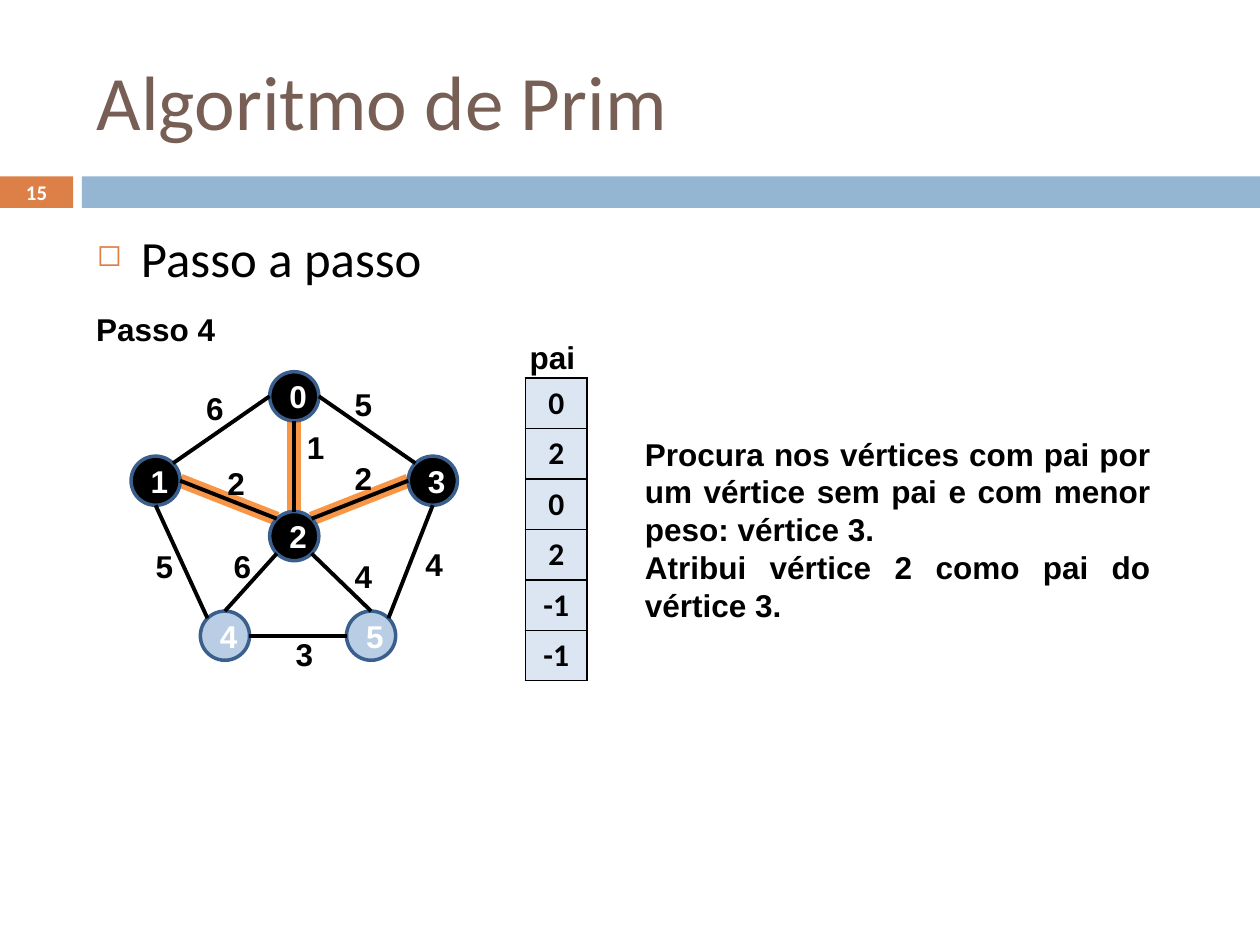
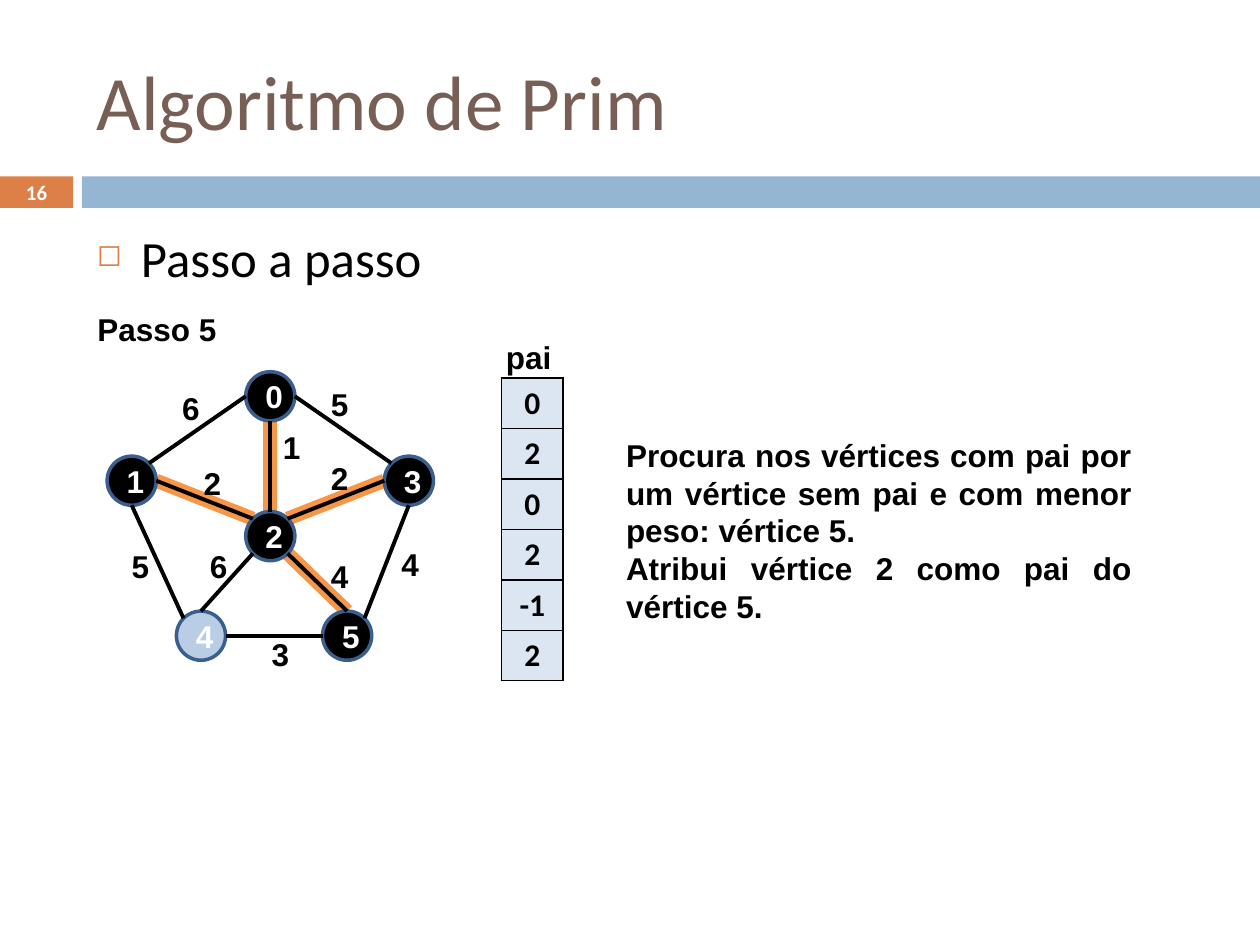
from lxml import etree
from pptx import Presentation
from pptx.dml.color import RGBColor
from pptx.enum.shapes import MSO_CONNECTOR, MSO_SHAPE
from pptx.enum.text import MSO_ANCHOR, PP_ALIGN
from pptx.oxml import parse_xml
from pptx.oxml.ns import nsdecls, qn
from pptx.util import Inches, Pt

LEFT, CENTER, JUSTIFY = PP_ALIGN.LEFT, PP_ALIGN.CENTER, PP_ALIGN.JUSTIFY
TOP, MIDDLE = MSO_ANCHOR.TOP, MSO_ANCHOR.MIDDLE
OVAL, RECTANGLE = MSO_SHAPE.OVAL, MSO_SHAPE.RECTANGLE
STRAIGHT = MSO_CONNECTOR.STRAIGHT

# Shared look
BLACK, WHITE = "000000", "FFFFFF"
ORANGE, BLUE, BROWN = "DD8047", "94B6D2", "775F55"
HIGHLIGHT, OUTLINE = "F79646", "3A5F8C"
UNVISITED, CELL_FILL = "B9CDE5", "DCE6F2"
TITLE, TOPIC = "Algoritmo de Prim", "Passo a passo"

# Content of each step; shift moves the graph and the table sideways
STEPS = [
    {"page": "15", "name": "Passo 4", "name_left": 0.53, "shift": 0,
     "parents": ["0", "2", "0", "2", "-1", "-1"],
     "unvisited": "45", "tree": ["32", "02", "12"],
     "note_at": (5.02, 3.4),
     "note": ["Procura nos vértices com pai por um vértice sem pai e com menor peso: vértice 3.",
              "Atribui vértice 2 como pai do vértice 3."]},
    {"page": "16", "name": "Passo 5", "name_left": 0.54, "shift": -0.19,
     "parents": ["0", "2", "0", "2", "-1", "2"],
     "unvisited": "4", "tree": ["25", "32", "12", "02"],
     "note_at": (4.87, 3.41),
     "note": ["Procura nos vértices com pai por um vértice sem pai e com menor peso: vértice 5.",
              "Atribui vértice 2 como pai do vértice 5."]},
]

# Graph: left and top of each vertex
DIAMETER = 0.39
VERTICES = {"0": (2.14, 2.95), "1": (1.04, 3.62), "2": (2.14, 4.06),
            "3": (3.24, 3.62), "4": (1.59, 4.85), "5": (2.75, 4.85)}

# Points on a vertex, as directions from its centre
DIAGONAL = 0.71
SIDES = {"n": (0, -1), "s": (0, 1), "w": (-1, 0), "e": (1, 0),
         "nw": (-DIAGONAL, -DIAGONAL), "ne": (DIAGONAL, -DIAGONAL),
         "sw": (-DIAGONAL, DIAGONAL), "se": (DIAGONAL, DIAGONAL)}

# Vertex pair: start side, end side, weight, weight box left and top
EDGES = {
    "03": ("e", "nw", "5", 2.22, 3.01),
    "10": ("ne", "w", "6", 1.04, 3.04),
    "53": ("ne", "s", "4", 2.78, 4.28),
    "25": ("se", "n", "4", 2.22, 4.37),
    "41": ("nw", "s", "5", 0.64, 4.29),
    "54": ("w", "e", "3", 1.75, 4.99),
    "32": ("w", "ne", "2", 2.22, 3.59),
    "12": ("e", "nw", "2", 1.21, 3.63),
    "24": ("sw", "n", "6", 1.26, 4.29),
    "02": ("s", "n", "1", 1.84, 3.35),
}


def color(value):
    return RGBColor.from_string(value)


def write(frame, lines, size=18, font="Arial", ink=BLACK, bold=True,
          align=CENTER, anchor=TOP):
    """Fill a text frame with one paragraph per line."""
    frame.word_wrap = True
    frame.vertical_anchor = anchor
    for index, line in enumerate(lines):
        para = frame.add_paragraph() if index else frame.paragraphs[0]
        para.alignment = align
        span = para.add_run()
        span.text = line
        span.font.size, span.font.name, span.font.bold = Pt(size), font, bold
        span.font.color.rgb = color(ink)


def add_text(page, lines, left, top, width, height, **style):
    box = page.shapes.add_textbox(*map(Inches, (left, top, width, height)))
    write(box.text_frame, lines, **style)
    return box


def add_filled(page, kind, left, top, width, height, fill, outline=None):
    shape = page.shapes.add_shape(kind, *map(Inches, (left, top, width, height)))
    shape.shadow.inherit = False
    shape.fill.solid()
    shape.fill.fore_color.rgb = color(fill)
    if outline:
        shape.line.color.rgb = color(outline)
        shape.line.width = Pt(2)
    else:
        shape.line.fill.background()
    return shape


def add_edge(page, pair, shift, ink, weight):
    ends = []
    for vertex, side in zip(pair, EDGES[pair]):
        for start, step in zip(VERTICES[vertex], SIDES[side]):
            ends.append(start + DIAMETER / 2 * (1 + step))
    x1, y1, x2, y2 = ends
    line = page.shapes.add_connector(
        STRAIGHT, *map(Inches, (x1 + shift, y1, x2 + shift, y2)))
    line.line.color.rgb = color(ink)
    line.line.width = Pt(weight)
    etree.SubElement(line._element.spPr, qn("a:effectLst"))


def add_frame(page, number):
    """Title, bands, page number and topic."""
    add_filled(page, RECTANGLE, 0, 1.4, 0.58, 0.25, ORANGE)
    add_filled(page, RECTANGLE, 0.65, 1.4, 9.35, 0.25, BLUE)
    add_text(page, [TITLE], 0.67, 0.25, 8.92, 1.08, size=44, font="Calibri",
             ink=BROWN, bold=False, align=LEFT, anchor=MIDDLE)
    add_text(page, [number], 0, 1.39, 0.58, 0.27, size=11.9, font="Calibri",
             ink=WHITE, anchor=MIDDLE)
    body = add_text(page, [TOPIC], 0.67, 1.75, 8.92, 4.92, size=29,
                    font="Calibri", bold=False, align=LEFT)
    layout = body.text_frame.paragraphs[0]._p.get_or_add_pPr()
    layout.set("marL", str(Inches(0.35)))
    layout.set("indent", str(-Inches(0.35)))
    bullet_color = etree.SubElement(layout, qn("a:buClr"))
    etree.SubElement(bullet_color, qn("a:srgbClr"), val=ORANGE)
    etree.SubElement(layout, qn("a:buSzPct"), val="60000")
    etree.SubElement(layout, qn("a:buChar"), char="◻")


def add_parents(page, parents, shift):
    """Column of parents under its heading."""
    row_height = 0.37
    table = page.shapes.add_table(
        len(parents), 1, Inches(4.17 + shift), Inches(3), Inches(0.49),
        Inches(row_height * len(parents))).table
    table.first_row = table.horz_banding = False
    for row, parent in zip(table.rows, parents):
        row.height = Inches(row_height)
        cell = row.cells[0]
        properties = cell._tc.get_or_add_tcPr()
        for side in ("lnL", "lnR", "lnT", "lnB"):
            properties.append(parse_xml(
                f'<a:{side} {nsdecls("a")} w="{Pt(1)}"><a:solidFill>'
                f'<a:srgbClr val="{BLACK}"/></a:solidFill></a:{side}>'))
        cell.fill.solid()
        cell.fill.fore_color.rgb = color(CELL_FILL)
        write(cell.text_frame, [parent], font="Calibri")
    add_text(page, ["pai"], 4.03 + shift, 2.63, 0.71, 0.4)


def add_graph(page, tree, unvisited, shift):
    # Tree edges glow behind the vertices
    for pair in tree:
        add_edge(page, pair, shift, HIGHLIGHT, 8)
    for vertex, (left, top) in VERTICES.items():
        fill = UNVISITED if vertex in unvisited else BLACK
        circle = add_filled(page, OVAL, left + shift, top, DIAMETER, DIAMETER,
                            fill, OUTLINE)
        write(circle.text_frame, [vertex], ink=WHITE, anchor=MIDDLE)
    for pair, (_, _, weight, left, top) in EDGES.items():
        add_edge(page, pair, shift, BLACK, 2.25)
        add_text(page, [weight], left + shift, top, 1.33, 0.4)


def main():
    deck = Presentation()
    deck.slide_width, deck.slide_height = Inches(10), Inches(7.5)
    for step in STEPS:
        page = deck.slides.add_slide(deck.slide_layouts[6])
        add_frame(page, step["page"])
        add_graph(page, step["tree"], step["unvisited"], step["shift"])
        add_parents(page, step["parents"], step["shift"])
        add_text(page, [step["name"]], step["name_left"], 2.41, 1.41, 0.4)
        add_text(page, step["note"], *step["note_at"], 4.21, 1.62, align=JUSTIFY)
    deck.save("out.pptx")


if __name__ == "__main__":
    main()
